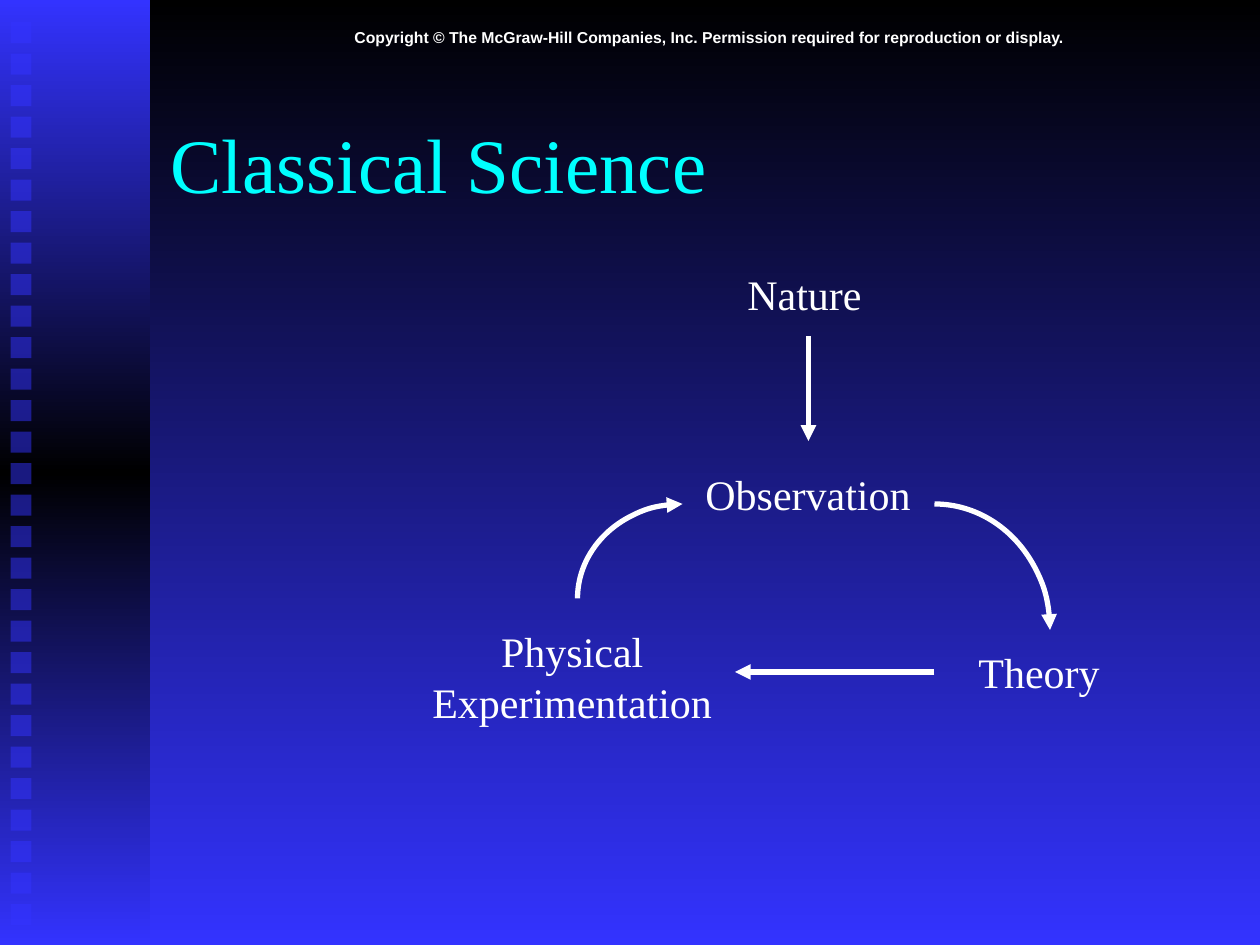
from copy import deepcopy

from lxml.etree import SubElement
from pptx import Presentation
from pptx.dml.color import RGBColor
from pptx.enum.shapes import MSO_CONNECTOR, MSO_SHAPE
from pptx.enum.text import MSO_ANCHOR as Anchor, MSO_AUTO_SIZE as AutoSize, PP_ALIGN as Align
from pptx.oxml.ns import qn
from pptx.util import Inches, Pt

WHITE, CYAN, BLUE, BLACK = "FFFFFF", "00FFFF", "3333FF", "000000"
SERIF, SANS = "Times New Roman", "Arial"
CELL = Inches(1) / 12  # the slide is a grid of 120 columns by 90 rows


def grid(*cells):
    return [round(cell * CELL) for cell in cells]


def color(hex_string):
    return RGBColor.from_string(hex_string)


def fill_gradient(fill, element, colors):
    """Run the colours evenly from top to bottom."""
    fill.gradient()
    fill.gradient_angle = 270
    stop_list = next(element.iter(qn("a:gsLst")))
    while len(stop_list) < len(colors):
        stop_list.append(deepcopy(stop_list[-1]))
    for index, (stop, hex_string) in enumerate(zip(fill.gradient_stops, colors)):
        stop.position = index / (len(colors) - 1)
        stop.color.rgb = color(hex_string)


def write(frame, text, size, font=SERIF, hex_string=WHITE, align=Align.LEFT, bold=False):
    frame.text = text
    for paragraph in frame.paragraphs:
        paragraph.alignment = align
        paragraph.font.size = Pt(size)
        paragraph.font.name = font
        paragraph.font.bold = bold
        paragraph.font.color.rgb = color(hex_string)


def add_plain_shape(slide, kind, box):
    shape = slide.shapes.add_shape(kind, *grid(*box))
    shape.shadow.inherit = False
    return shape


def style_arrow(line):
    line.color.rgb = color(WHITE)
    line.width = Pt(3)
    SubElement(line._get_or_add_ln(), qn("a:tailEnd"), type="triangle")


def add_arrow(slide, start, end):
    arrow = slide.shapes.add_connector(MSO_CONNECTOR.STRAIGHT, *grid(*start, *end))
    style_arrow(arrow.line)
    SubElement(arrow._element.spPr, qn("a:effectLst"))


def add_curved_arrow(slide, box, start_degrees, end_degrees):
    arc = add_plain_shape(slide, MSO_SHAPE.ARC, box)
    arc.adjustments[0] = start_degrees * 0.6
    arc.adjustments[1] = end_degrees * 0.6
    arc.fill.background()
    style_arrow(arc.line)


def add_label(slide, box, text, align=Align.LEFT):
    frame = slide.shapes.add_textbox(*grid(*box)).text_frame
    frame.word_wrap = False
    frame.auto_size = AutoSize.SHAPE_TO_FIT_TEXT
    write(frame, text, 24, align=align)


def add_side_panel(slide, box):
    """Gradient band with a column of translucent squares."""
    left, top, width, height = box
    band = add_plain_shape(slide, MSO_SHAPE.RECTANGLE, box)
    band.line.fill.background()
    fill_gradient(band.fill, band._element, [BLUE, BLACK, BLUE])
    pitch, side = 3, 2
    for row in range(int(height / pitch) - 1):
        square_box = (left + 1, top + 2.1 + row * pitch, side, side)
        square = add_plain_shape(slide, MSO_SHAPE.RECTANGLE, square_box)
        square.line.fill.background()
        square.fill.solid()
        square.fill.fore_color.rgb = color(BLUE)
        fill_color = next(square._element.iter(qn("a:srgbClr")))
        SubElement(fill_color, qn("a:alpha"), val="50000")


def add_copyright(slide, box):
    frame = slide.shapes.add_textbox(*grid(*box)).text_frame
    frame.word_wrap = True
    frame.vertical_anchor = Anchor.MIDDLE
    frame.margin_left = frame.margin_right = frame.margin_top = frame.margin_bottom = 0
    write(frame, "Copyright © The McGraw-Hill Companies, Inc. "
          "Permission required for reproduction or display.",
          9, SANS, align=Align.CENTER, bold=True)


def add_title(slide, box):
    title = slide.shapes.title
    title.left, title.top, title.width, title.height = grid(*box)
    title.text_frame.vertical_anchor = Anchor.MIDDLE
    write(title.text_frame, "Classical Science", 44, hex_string=CYAN)


def add_cycle(slide, box):
    """Nature feeds a loop of observation, theory and experimentation."""
    left, top, width, height = box
    right, bottom = left + width, top + height

    # Stages, each box a little wider than its words
    add_label(slide, (left + 30, top, 13.5, 6), "Nature")
    add_label(slide, (left + 26, top + 19, 22, 6), "Observation")
    add_label(slide, (right - 14, bottom - 9, 14, 6), "Theory")
    add_label(slide, (left - 0.5, bottom - 11, 30, 11), "Physical\nExperimentation", Align.CENTER)

    # Arrows
    add_arrow(slide, (left + 37, top + 7), (left + 37, top + 17))
    add_curved_arrow(slide, (left + 38, top + 23, 22, 24), 270, 0)
    add_arrow(slide, (left + 49, bottom - 6), (left + 30, bottom - 6))
    add_curved_arrow(slide, (left + 15, top + 23, 20, 18), 180, 270)


def main():
    presentation = Presentation()
    presentation.slide_width, presentation.slide_height = grid(120, 90)
    slide = presentation.slides.add_slide(presentation.slide_layouts[5])
    fill_gradient(slide.background.fill, slide._element, [BLACK, BLUE])
    add_side_panel(slide, (0, 0, 14.3, 90))
    add_copyright(slide, (15, 2, 105, 3))
    add_title(slide, (15, 8, 102, 15))
    add_cycle(slide, (40, 25, 66, 45))
    presentation.save("out.pptx")


if __name__ == "__main__":
    main()
